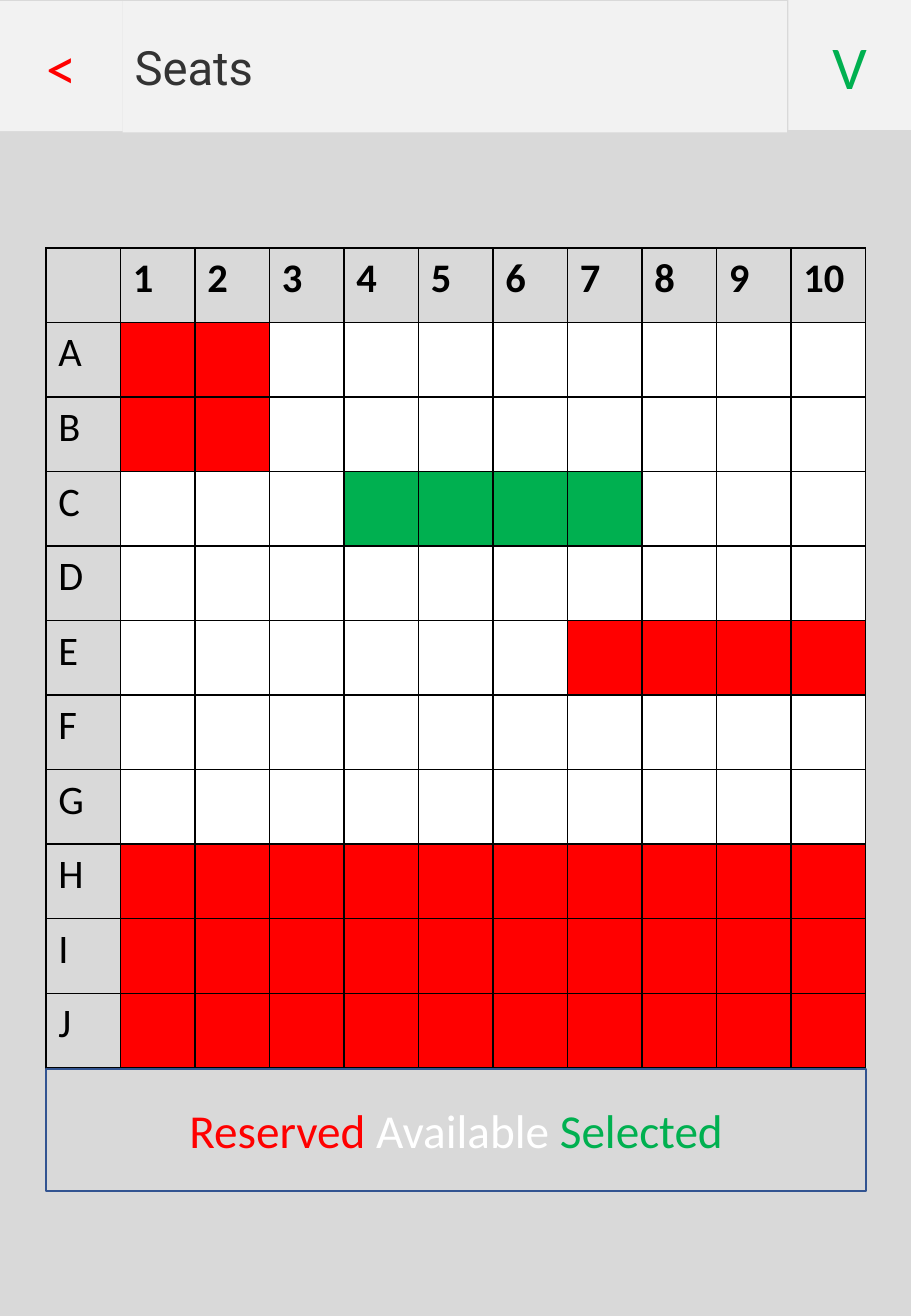
from lxml import etree
from pptx import Presentation
from pptx.dml.color import RGBColor
from pptx.enum.shapes import MSO_SHAPE
from pptx.enum.text import MSO_ANCHOR, PP_ALIGN
from pptx.oxml.ns import qn
from pptx.util import Inches, Pt

RECT = MSO_SHAPE.RECTANGLE
MIDDLE = MSO_ANCHOR.MIDDLE
LEFT, CENTER = PP_ALIGN.LEFT, PP_ALIGN.CENTER

RED, GREEN, WHITE, BLACK = "FF0000", "00B050", "FFFFFF", "000000"
GREY, PALE, DARK, BLUE = "D9D9D9", "F2F2F2", "333333", "325491"

# Seat states by row: R reserved, S selected, . available
STATES = {"R": RED, "S": GREEN, ".": WHITE}
SEATS = {
    "A": "RR........",
    "B": "RR........",
    "C": "...SSSS...",
    "D": "..........",
    "E": "......RRRR",
    "F": "..........",
    "G": "..........",
    "H": "RRRRRRRRRR",
    "I": "RRRRRRRRRR",
    "J": "RRRRRRRRRR",
}
SIDE = 6.75


def color(text):
    return RGBColor.from_string(text)


def style(run, size, tint, font="Calibri", bold=False):
    run.font.size = Pt(size)
    run.font.name = font
    run.font.bold = bold
    run.font.color.rgb = color(tint)


def add_box(slide, left, top, width, height, fill=None, line=None):
    box = slide.shapes.add_shape(
        RECT, Inches(left), Inches(top), Inches(width), Inches(height))
    box.shadow.inherit = False
    if fill:
        box.fill.solid()
        box.fill.fore_color.rgb = color(fill)
    else:
        box.fill.background()
    if line:
        box.line.color.rgb = color(line)
        box.line.width = Pt(1)
    else:
        box.line.fill.background()
    return box


def write(box, parts, size, font="Calibri", align=CENTER):
    frame = box.text_frame
    frame.word_wrap = True
    frame.vertical_anchor = MIDDLE
    para = frame.paragraphs[0]
    para.alignment = align
    for text, tint in parts:
        run = para.add_run()
        run.text = text
        style(run, size, tint, font)


def add_border(cell):
    props = cell._tc.get_or_add_tcPr()
    for edge in ("a:lnL", "a:lnR", "a:lnT", "a:lnB"):
        line = etree.SubElement(props, qn(edge), w=str(Pt(1)))
        fill = etree.SubElement(line, qn("a:solidFill"))
        etree.SubElement(fill, qn("a:srgbClr"), val=BLACK)


def fill_cell(cell, text="", bold=False, fill=None):
    add_border(cell)
    if fill:
        cell.fill.solid()
        cell.fill.fore_color.rgb = color(fill)
    else:
        cell.fill.background()
    if text:
        cell.text_frame.text = text
        style(cell.text_frame.paragraphs[0].runs[0], 24, BLACK, bold=bold)


def add_seats(slide):
    count = len(SEATS) + 1
    table = slide.shapes.add_table(
        count, count, Inches(0.38), Inches(2.04),
        Inches(SIDE), Inches(SIDE)).table
    table.first_row = table.horz_banding = False
    for band in table.columns:
        band.width = Inches(SIDE / count)
    for band in table.rows:
        band.height = Inches(SIDE / count)

    # Column numbers
    fill_cell(table.cell(0, 0))
    for col in range(1, count):
        fill_cell(table.cell(0, col), str(col), bold=True)

    # Row letters and seats
    for row, (letter, states) in enumerate(SEATS.items(), 1):
        fill_cell(table.cell(row, 0), letter)
        for col, state in enumerate(states, 1):
            fill_cell(table.cell(row, col), fill=STATES[state])


def main():
    deck = Presentation()
    deck.slide_width, deck.slide_height = Inches(7.5), Inches(10.83)
    slide = deck.slides.add_slide(deck.slide_layouts[6])

    # Backdrop
    add_box(slide, 0, 0, 7.5, 10.83, GREY)

    # Header bar with back and confirm buttons
    title = add_box(slide, 1.01, 0.01, 5.47, 1.08, PALE)
    write(title, [("Seats", DARK)], 28, "Roboto", LEFT)
    back = add_box(slide, 0, 0.01, 1.01, 1.07, PALE)
    write(back, [("<", RED)], 36)
    done = add_box(slide, 6.49, 0, 1.01, 1.07, PALE)
    write(done, [("V", GREEN)], 36)

    # Seat plan
    add_seats(slide)

    # Legend
    legend = add_box(slide, 0.38, 8.8, SIDE, 1, line=BLUE)
    write(legend, [("Reserved ", RED), ("Available ", WHITE),
                   ("Selected", GREEN)], 28)

    deck.save("out.pptx")


if __name__ == "__main__":
    main()
